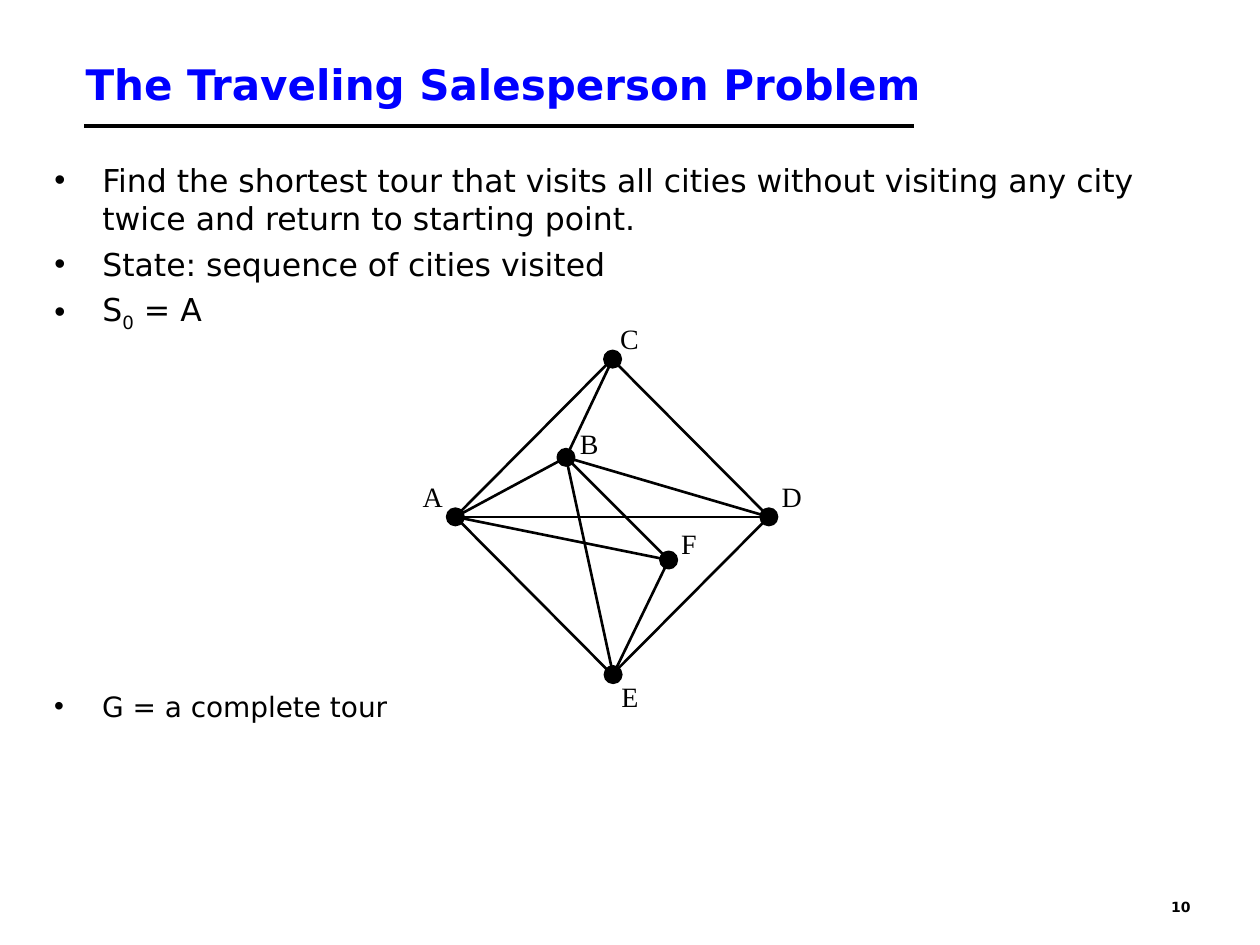
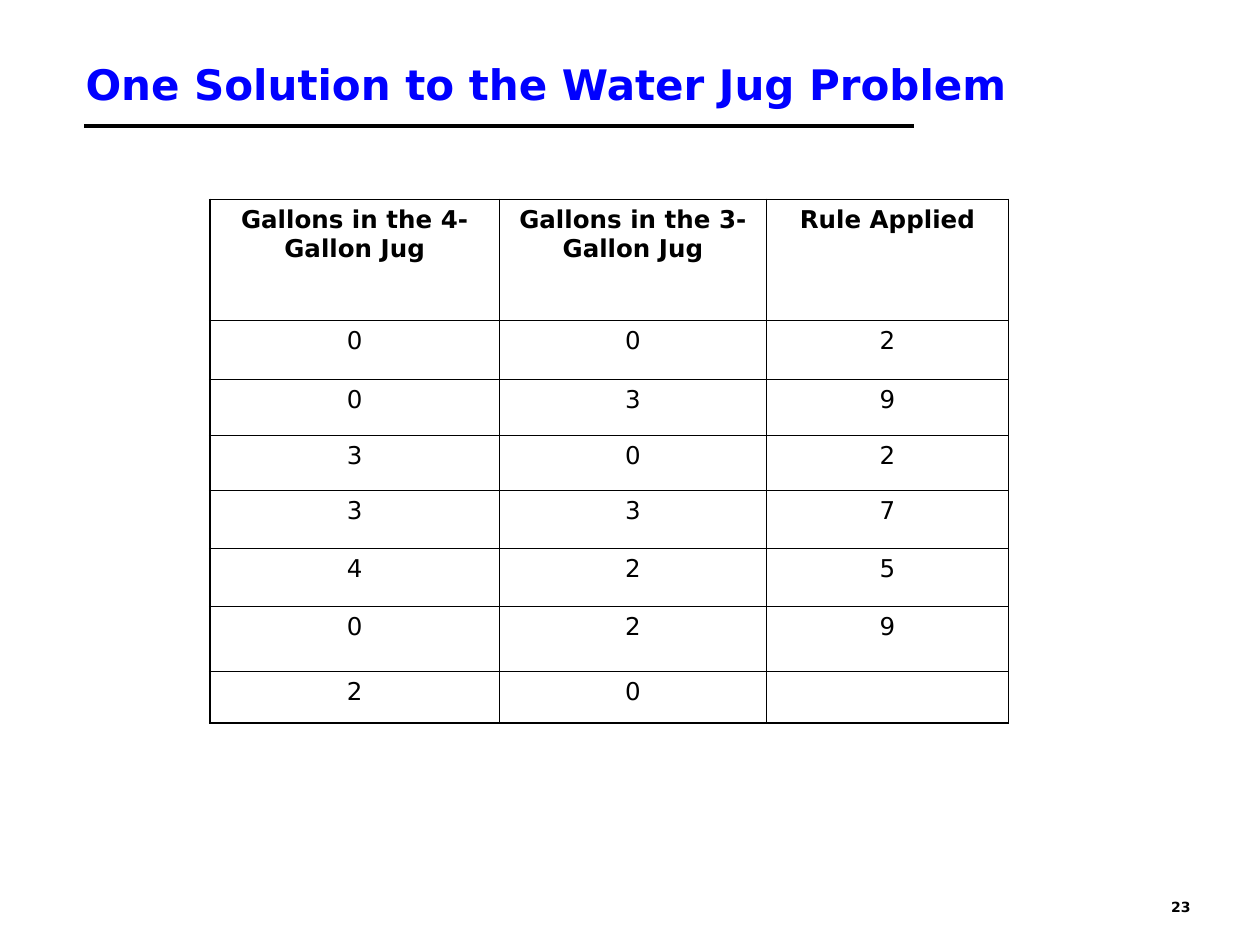
import dataclasses

import lxml.etree
import pptx
import pptx.dml.color
import pptx.enum.shapes
import pptx.enum.text
import pptx.oxml.ns
import pptx.util

Cm = pptx.util.Cm
Pt = pptx.util.Pt
qn = pptx.oxml.ns.qn
SHAPE = pptx.enum.shapes.MSO_SHAPE
ALIGN = pptx.enum.text.PP_ALIGN
ANCHOR = pptx.enum.text.MSO_ANCHOR


@dataclasses.dataclass(frozen=True)
class Theme:
    """Colours, fonts, type sizes and line widths of the deck."""
    ink: str = "000000"
    title: str = "0000FF"
    sans: str = "DejaVu Sans"
    serif: str = "Times New Roman"
    title_size: float = 24
    body_size: float = 18
    small_size: float = 16
    cell_size: float = 14
    number_size: float = 8
    rule: float = 2.25
    edge: float = 1.5
    frame: float = 1.08
    grid: float = 0.45


THEME = Theme()
INDENT = Cm(0.97)
DOT = 0.33
LABEL_BOX = (0.9, 0.94)

CITIES = {
    "A": (9.18, 10.42, -0.46, -0.4),
    "B": (11.41, 9.22, 0.47, -0.27),
    "C": (12.35, 7.24, 0.34, -0.42),
    "D": (15.5, 10.42, 0.46, -0.4),
    "E": (12.36, 13.6, 0.34, 0.44),
    "F": (13.48, 11.29, 0.41, -0.32),
}
ROADS = ("AD", "BF", "EF", "AB", "AF", "BC", "BE", "BD")

JUG_COLUMNS = (5.84, 5.38, 4.88)
JUG_ROWS = (2.44, 1.19, 1.12, 1.12, 1.17, 1.17, 1.3, 1.04)
JUG_STEPS = (
    ("Gallons in the 4-Gallon Jug", "Gallons in the 3-Gallon Jug", "Rule Applied"),
    ("0", "0", "2"),
    ("0", "3", "9"),
    ("3", "0", "2"),
    ("3", "3", "7"),
    ("4", "2", "5"),
    ("0", "2", "9"),
    ("2", "0", ""),
)


def rgb(code):
    """Return the colour object for a hex code."""
    return pptx.dml.color.RGBColor.from_string(code)


def place(sp, left, top, width, height):
    """Move and size a shape, in centimetres."""
    sp.left, sp.top, sp.width, sp.height = map(Cm, (left, top, width, height))


def style_text(tf, size, color=THEME.ink, font=THEME.sans, bold=False, align=ALIGN.LEFT):
    """Format every run of a text frame alike."""
    for p in tf.paragraphs:
        p.alignment = align
        for r in p.runs:
            r.font.size = Pt(size)
            r.font.name = font
            r.font.bold = bold
            r.font.color.rgb = rgb(color)


def add_text(s, text, box, size, **style):
    """Add a text box with one formatted paragraph."""
    sp = s.shapes.add_textbox(*map(Cm, box))
    tf = sp.text_frame
    tf.word_wrap = True
    tf.text = text
    style_text(tf, size, **style)
    return sp


def add_bullet(p):
    """Give a paragraph a round bullet and a hanging indent."""
    pPr = p._p.get_or_add_pPr()
    pPr.set("marL", str(INDENT))
    pPr.set("indent", str(-INDENT))
    lxml.etree.SubElement(pPr, qn("a:buFont"), typeface="Arial")
    lxml.etree.SubElement(pPr, qn("a:buChar"), char="•")


def fill_list(tf, items, size):
    """Write bulleted items; text between bars is set as a subscript."""
    tf.word_wrap = True
    tf.auto_size = pptx.enum.text.MSO_AUTO_SIZE.NONE
    tf.vertical_anchor = ANCHOR.TOP
    for i, item in enumerate(items):
        p = tf.add_paragraph() if i else tf.paragraphs[0]
        p.space_before = Pt(size / 4 if i else 0)
        add_bullet(p)
        for j, part in enumerate(item.split("|")):
            r = p.add_run()
            r.text = part
            if j % 2:
                r._r.get_or_add_rPr().set("baseline", "-25000")
    style_text(tf, size)


def add_line(s, start, end, width):
    """Draw a straight line between two points."""
    c = s.shapes.add_connector(
        pptx.enum.shapes.MSO_CONNECTOR.STRAIGHT, *map(Cm, (*start, *end)))
    c.line.color.rgb = rgb(THEME.ink)
    c.line.width = Pt(width)
    lxml.etree.SubElement(c._element.spPr, qn("a:effectLst"))


def add_outline(s, kind, box, filled):
    """Draw a preset shape with a black outline."""
    sp = s.shapes.add_shape(kind, *map(Cm, box))
    sp.shadow.inherit = False
    sp.line.color.rgb = rgb(THEME.ink)
    sp.line.width = Pt(THEME.edge)
    if filled:
        sp.fill.solid()
        sp.fill.fore_color.rgb = rgb(THEME.ink)
    else:
        sp.fill.background()


def add_slide(prs, layout, title, number):
    """Add a slide with the shared title, rule and page number."""
    s = prs.slides.add_slide(prs.slide_layouts.get_by_name(layout))
    sp = s.shapes.title
    place(sp, 1.47, 0.84, 21.59, 1.7)
    tf = sp.text_frame
    tf.text = title
    tf.auto_size = pptx.enum.text.MSO_AUTO_SIZE.NONE
    tf.vertical_anchor = ANCHOR.MIDDLE
    style_text(tf, THEME.title_size, THEME.title, bold=True)
    add_line(s, (1.7, 2.54), (18.42, 2.54), THEME.rule)
    add_text(s, str(number), (23.36, 17.98, 1.9, 0.64), THEME.number_size, bold=True)
    return s


def add_city(s, name):
    """Draw a city as a dot with its letter beside it."""
    x, y, dx, dy = CITIES[name]
    add_outline(s, SHAPE.OVAL, (x - DOT / 2, y - DOT / 2, DOT, DOT), True)
    w, h = LABEL_BOX
    sp = add_text(s, name, (x + dx - w / 2, y + dy - h / 2, w, h), THEME.small_size,
                  font=THEME.serif, align=ALIGN.CENTER)
    sp.text_frame.word_wrap = False


def add_city_map(s):
    """Draw the outer diamond, the inner roads and the cities."""
    left, right = CITIES["A"][0], CITIES["D"][0]
    top, bottom = CITIES["C"][1], CITIES["E"][1]
    add_outline(s, SHAPE.DIAMOND, (left, top, right - left, bottom - top), False)
    for start, end in ROADS:
        add_line(s, CITIES[start][:2], CITIES[end][:2], THEME.edge)
    for name in CITIES:
        add_city(s, name)


def set_borders(cell, outer):
    """Draw cell borders, thicker on the sides that lie on the frame."""
    tcPr = cell._tc.get_or_add_tcPr()
    for i, side in enumerate("LRTB"):
        width = Pt(THEME.frame if side in outer else THEME.grid)
        ln = lxml.etree.Element(qn("a:ln" + side), w=str(width))
        fill = lxml.etree.SubElement(ln, qn("a:solidFill"))
        lxml.etree.SubElement(fill, qn("a:srgbClr"), val=THEME.ink)
        tcPr.insert(i, ln)


def add_table(s, rows, left, top, widths, heights):
    """Add a plain ruled table with a bold first row."""
    table = s.shapes.add_table(len(rows), len(widths), Cm(left), Cm(top),
                               Cm(sum(widths)), Cm(sum(heights))).table
    table.first_row = table.horz_banding = False
    for column, width in zip(table.columns, widths):
        column.width = Cm(width)
    for i, (row, height) in enumerate(zip(rows, heights)):
        table.rows[i].height = Cm(height)
        for j, text in enumerate(row):
            cell = table.cell(i, j)
            cell.text_frame.text = text
            style_text(cell.text_frame, THEME.cell_size, bold=i == 0, align=ALIGN.CENTER)
            cell.fill.background()
            edges = {"L": j == 0, "R": j == len(row) - 1, "T": i == 0, "B": i == len(rows) - 1}
            set_borders(cell, [side for side, on_frame in edges.items() if on_frame])


def add_tour_slide(prs):
    """Build the slide on the traveling salesperson."""
    s = add_slide(prs, "Title and Content", "The Traveling Salesperson Problem", 10)
    body = s.placeholders[1]
    place(body, 0.84, 3.12, 22.86, 5.13)
    fill_list(body.text_frame, (
        "Find the shortest tour that visits all cities without visiting any city "
        "twice and return to starting point.",
        "State: sequence of cities visited",
        "S|0| = A",
    ), THEME.body_size)
    goal = s.shapes.add_textbox(*map(Cm, (0.84, 13.77, 22.86, 1.22)))
    fill_list(goal.text_frame, ("G = a complete tour",), THEME.small_size)
    add_city_map(s)


def add_jug_slide(prs):
    """Build the slide on the water jugs."""
    s = add_slide(prs, "Title Only", "One Solution to the Water Jug Problem", 23)
    add_table(s, JUG_STEPS, 4.23, 4.02, JUG_COLUMNS, JUG_ROWS)


def main():
    """Build and save the deck."""
    prs = pptx.Presentation()
    prs.slide_width, prs.slide_height = Cm(25.4), Cm(19.05)
    add_tour_slide(prs)
    add_jug_slide(prs)
    prs.save("out.pptx")


if __name__ == "__main__":
    main()
